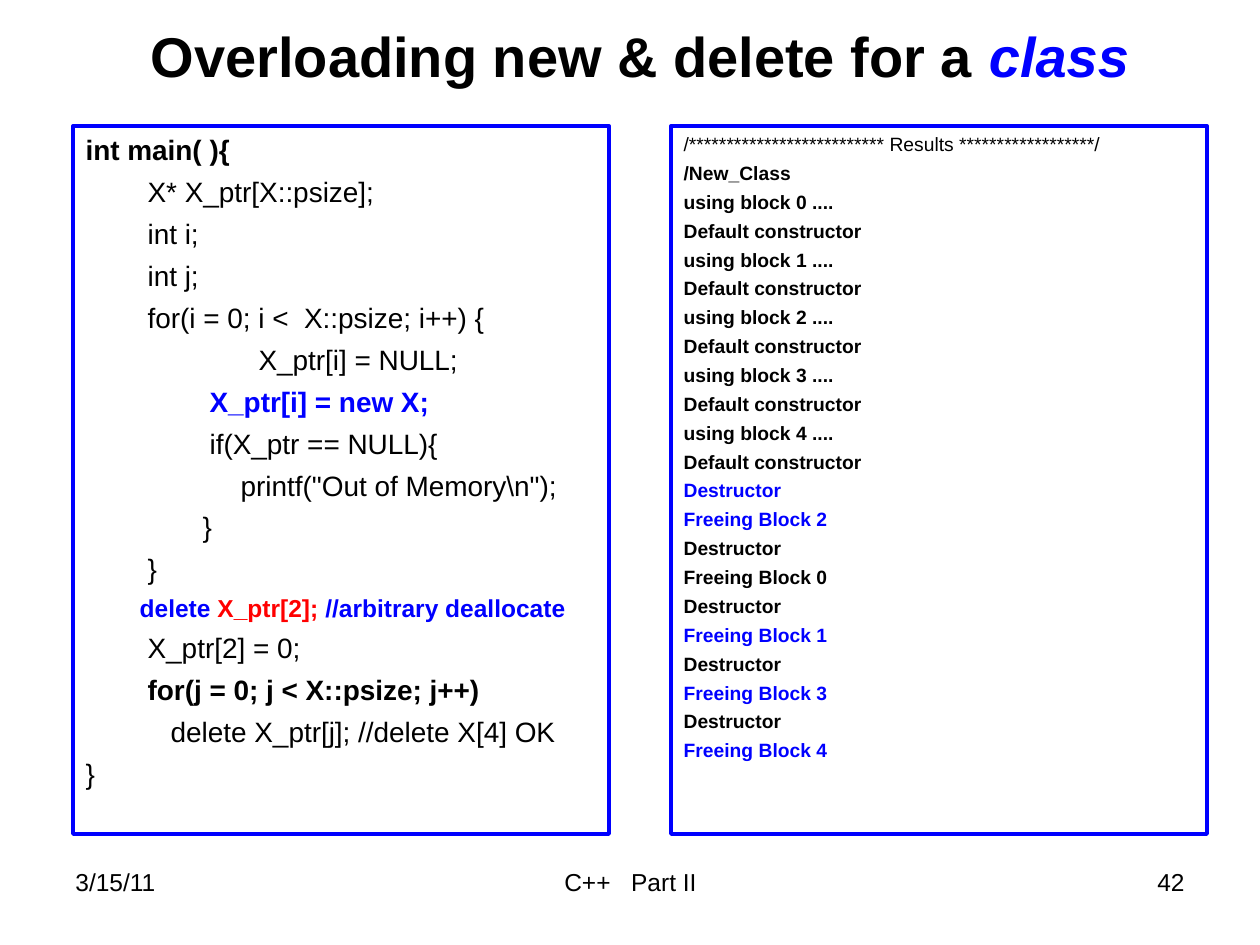
from pptx import Presentation
from pptx.dml.color import RGBColor
from pptx.enum.text import MSO_ANCHOR, MSO_AUTO_SIZE, PP_ALIGN
from pptx.util import Pt
from lxml import etree

LEFT, MID, RIGHT = PP_ALIGN.LEFT, PP_ALIGN.CENTER, PP_ALIGN.RIGHT
TOP, CENTER = MSO_ANCHOR.TOP, MSO_ANCHOR.MIDDLE
FIXED = MSO_AUTO_SIZE.NONE
NS = "{http://schemas.openxmlformats.org/drawingml/2006/main}"
PX = 914400 / 126  # EMU in one px

THEME = {
    "font": "Arial",
    "black": RGBColor(0, 0, 0),
    "blue": RGBColor(0, 0, 255),
    "red": RGBColor(255, 0, 0),
    "title": 32, "code": 16, "note": 14, "log": 11, "foot": 14,
    "gap": 0.3,  # space before a line, as a share of its type size
}


def place(box, x, y, w, h, anchor=TOP):
    """Set the box in px and give back its text frame."""
    box.left, box.top, box.width, box.height = (round(n * PX) for n in (x, y, w, h))
    frame = box.text_frame
    frame.word_wrap = True
    frame.auto_size = FIXED
    frame.vertical_anchor = anchor
    return frame


def add_run(para, text, size, color="black", bold=False, italic=False):
    run = para.add_run()
    run.text = text
    font = run.font
    font.name, font.size = THEME["font"], Pt(THEME[size])
    font.bold, font.italic = bold, italic
    font.color.rgb = THEME[color]
    return run


deck = Presentation()
deck.slide_width, deck.slide_height = round(1260 * PX), round(945 * PX)
slide = deck.slides.add_slide(deck.slide_layouts[3])
title, left, right = slide.placeholders

# Title
para = place(title, 73, 0, 1134, 110, CENTER).paragraphs[0]
para.alignment = MID
add_run(para, "Overloading new & delete for a ", "title", bold=True)
add_run(para, "class", "title", "blue", True, True)

# Code: indent in px, type size, then runs of text, colour, bold
code = [
    (0, "code", [("int main( ){", "black", True)]),
    (62, "code", [("X* X_ptr[X::psize];", "black", False)]),
    (62, "code", [("int i;", "black", False)]),
    (62, "code", [("int j;", "black", False)]),
    (62, "code", [("for(i = 0; i <  X::psize; i++) {", "black", False)]),
    (173, "code", [("X_ptr[i] = NULL;", "black", False)]),
    (124, "code", [("X_ptr[i] = new X;", "blue", True)]),
    (124, "code", [("if(X_ptr == NULL){", "black", False)]),
    (155, "code", [('printf("Out of Memory\\n");', "black", False)]),
    (117, "code", [("}", "black", False)]),
    (62, "code", [("}", "black", False)]),
    (54, "note", [("delete ", "blue", True), ("X_ptr[2]; ", "red", True),
                  ("//arbitrary deallocate", "blue", True)]),
    (62, "code", [("X_ptr[2] = 0;", "black", False)]),
    (62, "code", [("for(j = 0; j < X::psize; j++)", "black", True)]),
    (85, "code", [("delete X_ptr[j]; //delete X[4] OK", "black", False)]),
    (0, "code", [("}", "black", False)]),
]

# Results: the same form, built from the order of events
log = [("/************************** Results ******************/", "black", False),
       ("/New_Class", "black", True)]
for block in range(5):
    log += [(f"using block {block} ....", "black", True),
            ("Default constructor", "black", True)]
for block, first, last in [(2, "blue", "blue"), (0, "black", "black"),
                           (1, "black", "blue"), (3, "black", "blue"),
                           (4, "black", "blue")]:
    log += [("Destructor", first, True), (f"Freeing Block {block}", last, True)]
log = [(0, "log", [line]) for line in log]

# Two framed panels
for panel, x, lines in [(left, 73, code), (right, 671, log)]:
    frame = place(panel, x, 126, 536, 708)
    panel.line.color.rgb = THEME["blue"]
    panel.line.width = Pt(2.25)
    for row, (indent, size, runs) in enumerate(lines):
        para = frame.add_paragraph() if row else frame.paragraphs[0]
        para.space_before = Pt(THEME[size] * THEME["gap"])
        props = para._p.get_or_add_pPr()
        props.set("marL", str(round(indent * PX)))
        props.set("indent", "0")
        etree.SubElement(props, NS + "buNone")
        for text, color, bold in runs:
            add_run(para, text, size, color, bold)

# Footer: each word with the extra space after it, in 1/100 pt
for x, w, align, parts in [
    (63, 294, LEFT, [("3/15/11", 0)]),
    (431, 399, MID, [("C++", 0), (" ", 778), ("Part II", 0)]),
    (903, 294, RIGHT, [("42", 0)]),
]:
    box = slide.shapes.add_textbox(0, 0, 0, 0)
    para = place(box, x, 861, w, 66).paragraphs[0]
    para.alignment = align
    for text, space in parts:
        run = add_run(para, text, "foot")
        if space:
            run._r.get_or_add_rPr().set("spc", str(space))

deck.save("out.pptx")
